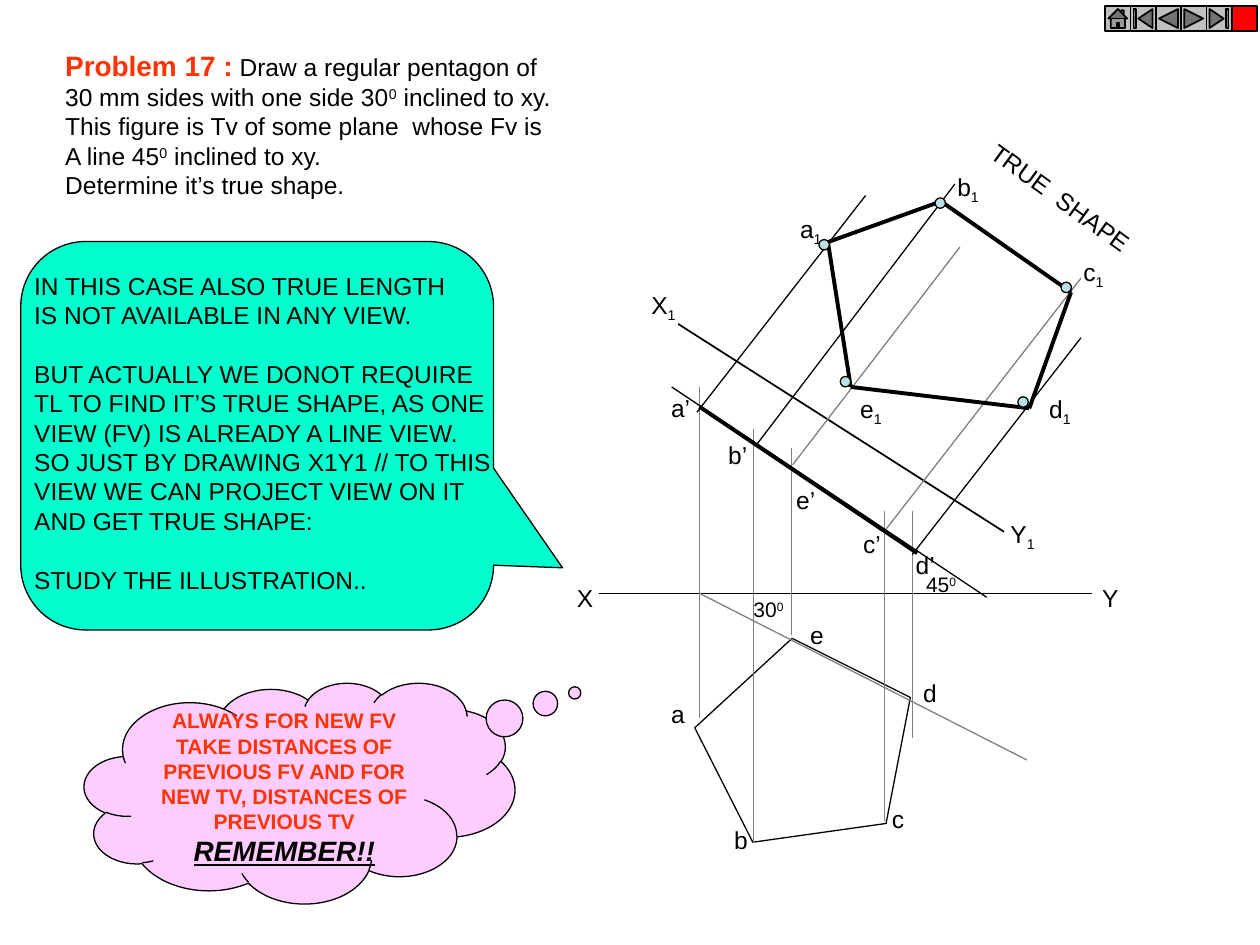
from lxml import etree
from pptx import Presentation
from pptx import util as u
from pptx.dml.color import RGBColor
from pptx.enum import shapes, text
from pptx.oxml import ns

HUE = {"ink": "000000", "grey": "808080", "red": "FF3300", "mint": "00FFCC",
       "pink": "FFCCFF", "dot": "BBE0E3", "key": "C0C0C0", "stop": "FF0000",
       "white": "FFFFFF"}
BASE = {"_": "-25000", "^": "30000"}
KIND = shapes.MSO_SHAPE


def tint(name):
    return RGBColor.from_string(HUE[name])


def write(par, words, size=14, hue="ink", bold=False, slant=False, under=False):
    mark = next((m for m in BASE if m in words), "^")
    head, _, tail = words.partition(mark)
    for part, shift in ((head, None), (tail[:1], BASE[mark]), (tail[1:], None)):
        if not part:
            continue
        run = par.add_run()
        run.text = part
        font = run.font
        font.name, font.size = "Arial", u.Pt(size)
        font.bold, font.italic, font.underline = bold, slant, under
        font.color.rgb = tint(hue)
        if shift:
            run._r.get_or_add_rPr().set("baseline", shift)


def lines(frame, rows, **look):
    for i, row in enumerate(rows):
        par = frame.paragraphs[0] if i == 0 else frame.add_paragraph()
        write(par, row, **look)


def label(slide, x, y, w, h, rows, **look):
    box = slide.shapes.add_textbox(u.Cm(x), u.Cm(y), u.Cm(w), u.Cm(h))
    box.text_frame.word_wrap = False
    box.text_frame.auto_size = text.MSO_AUTO_SIZE.SHAPE_TO_FIT_TEXT
    lines(box.text_frame, rows, **look)
    return box


def shape(slide, kind, x, y, w, h, fill, width=0.75):
    item = slide.shapes.add_shape(kind, u.Cm(x), u.Cm(y), u.Cm(w), u.Cm(h))
    item.shadow.inherit = False
    item.fill.solid()
    item.fill.fore_color.rgb = tint(fill)
    item.line.color.rgb = tint("ink")
    item.line.width = u.Pt(width)
    return item


def title(slide, x, y, w, h):
    box = slide.shapes.title
    box.left, box.top, box.width, box.height = map(u.Cm, (x, y, w, h))
    frame = box.text_frame
    frame.word_wrap = True
    frame.auto_size = text.MSO_AUTO_SIZE.NONE
    frame.vertical_anchor = text.MSO_ANCHOR.TOP
    write(frame.paragraphs[0], "Problem 17 :", size=16, hue="red", bold=True)
    lines(frame, [" Draw a regular pentagon of",
                  "30 mm sides with one side 30^0 inclined to xy.",
                  "This figure is Tv of some plane  whose Fv is",
                  "A line 45^0 inclined to xy.",
                  "Determine it’s true shape."])
    for par in frame.paragraphs:
        par.alignment = text.PP_ALIGN.LEFT


def figure(slide, x, y):
    def line(x1, y1, x2, y2, hue="ink", width=0.75):
        link = slide.shapes.add_connector(
            shapes.MSO_CONNECTOR.STRAIGHT,
            u.Cm(x + x1), u.Cm(y + y1), u.Cm(x + x2), u.Cm(y + y2))
        link.line.color.rgb = tint(hue)
        link.line.width = u.Pt(width)
        etree.SubElement(link._element.spPr, ns.qn("a:effectLst"))

    line(0.67, 8.56, 10.62, 8.56)
    plan = shape(slide, KIND.REGULAR_PENTAGON, x + 2.65, y + 9.45, 4.39, 3.96, "white")
    plan.rotation = 352
    line(2.7, 8.56, 9.3, 11.92, "grey")

    for px, low, high in [(2.7, 11.08, 4.4), (3.79, 13.59, 5.24), (6.43, 13.16, 6.91),
                          (6.99, 11.48, 6.91), (4.55, 9.4, 5.64)]:
        line(px, low, px, high, "grey")

    line(2.7, 4.8, 7.09, 7.75, width=2.25)
    line(2.27, 3.13, 8.84, 7.32, width=1)
    line(2.14, 4.4, 8.49, 8.64)
    for ray in [(2.65, 4.91, 6.05, 0.54), (3.87, 5.54, 7.85, 0.31),
                (4.58, 5.97, 7.95, 1.58, "grey"), (6.46, 7.27, 10.39, 2.21, "grey"),
                (6.99, 7.78, 10.39, 3.41)]:
        line(*ray)

    ring = [(5.29, 1.48), (7.57, 0.66), (10.19, 2.49), (9.35, 4.83), (5.75, 4.4)]
    for start, end in zip(ring, ring[1:] + ring[:1]):
        line(*start, *end, width=2.25)

    names = [("a", 1.88, 10.57), ("b", 3.15, 13.11), ("c", 6.33, 12.68),
             ("d", 6.96, 10.14), ("e", 4.68, 8.97), ("a’", 1.88, 4.4),
             ("b’", 3.03, 5.34), ("e’", 4.4, 6.25), ("c’", 5.75, 7.14),
             ("d’", 6.81, 7.57), ("a_1", 4.48, 0.79), ("b_1", 7.65, -0.05),
             ("e_1", 5.69, 4.42), ("d_1", 9.5, 4.42), ("c_1", 10.19, 1.65),
             ("X", -0.02, 8.23), ("Y", 10.57, 8.23), ("X_1", 1.48, 2.32),
             ("Y_1", 8.72, 6.94)]
    wide = {1: 0.84, 2: 0.92, 3: 1.12}
    for name, px, py in names:
        label(slide, x + px, y + py, wide[len(name)], 0.84, [name])
    for name, px, py in [("30^0", 3.54, 8.51), ("45^0", 7.02, 8)]:
        label(slide, x + px, y + py, 1.16, 0.76, [name], size=12)

    for px, py in [(5.11, 1.43), (5.54, 4.19), (9.12, 4.6), (9.99, 2.29), (7.45, 0.59)]:
        shape(slide, KIND.OVAL, x + px, y + py, 0.21, 0.21, "dot")
    label(slide, x + 8.08, y + 0.16, 3.81, 0.84, ["TRUE  SHAPE"]).rotation = 36


def note(slide, x, y, w, h):
    back = shape(slide, KIND.ROUNDED_RECTANGULAR_CALLOUT, x, y, w, h, "mint")
    for i, val in enumerate((0.646, 0.34, 0.167)):
        back.adjustments[i] = val
    box = label(slide, x + 0.02, y + 0.46, w + 0.25, h - 0.48,
                ["IN THIS CASE ALSO TRUE LENGTH",
                 "IS NOT AVAILABLE IN ANY VIEW.",
                 "BUT ACTUALLY WE DONOT REQUIRE",
                 "TL TO FIND IT’S TRUE SHAPE, AS ONE",
                 "VIEW (FV) IS ALREADY A LINE VIEW.",
                 "SO JUST BY DRAWING X1Y1 // TO THIS",
                 "VIEW WE CAN PROJECT VIEW ON IT",
                 "AND GET TRUE SHAPE:",
                 "STUDY THE ILLUSTRATION.."])
    for i in (2, 8):
        box.text_frame.paragraphs[i].space_before = u.Pt(16.8)


def cloud(slide, x, y, w, h):
    puff = shape(slide, KIND.CLOUD_CALLOUT, x, y, w, h, "pink")
    puff.adjustments[0], puff.adjustments[1] = 0.639, -0.453
    frame = puff.text_frame
    frame.word_wrap = True
    frame.vertical_anchor = text.MSO_ANCHOR.MIDDLE
    write(frame.paragraphs[0], "ALWAYS FOR NEW FV TAKE DISTANCES OF PREVIOUS FV "
          "AND FOR NEW TV, DISTANCES OF PREVIOUS TV", size=12, hue="red", bold=True)
    write(frame.add_paragraph(), "REMEMBER!!", size=16, bold=True, slant=True, under=True)
    for par in frame.paragraphs:
        par.alignment = text.PP_ALIGN.CENTER


def keys(slide, x, y, side):
    for i, name in enumerate(("HOME", "BEGINNING", "BACK_OR_PREVIOUS",
                              "FORWARD_OR_NEXT", "END", "CUSTOM")):
        shape(slide, KIND["ACTION_BUTTON_" + name], x + i * side, y, side, side,
              "stop" if name == "CUSTOM" else "key", 1)


def main():
    deck = Presentation()
    deck.slide_width, deck.slide_height = u.Cm(25.4), u.Cm(19.05)
    slide = deck.slides.add_slide(deck.slide_layouts[5])
    title(slide, 1.06, 0.85, 11, 3.3)
    figure(slide, 11.4, 3.4)
    note(slide, 0.42, 4.87, 9.53, 7.83)
    cloud(slide, 1.7, 13.76, 8.68, 4.45)
    keys(slide, 22.28, 0.12, 0.51)
    deck.save("out.pptx")


if __name__ == "__main__":
    main()
